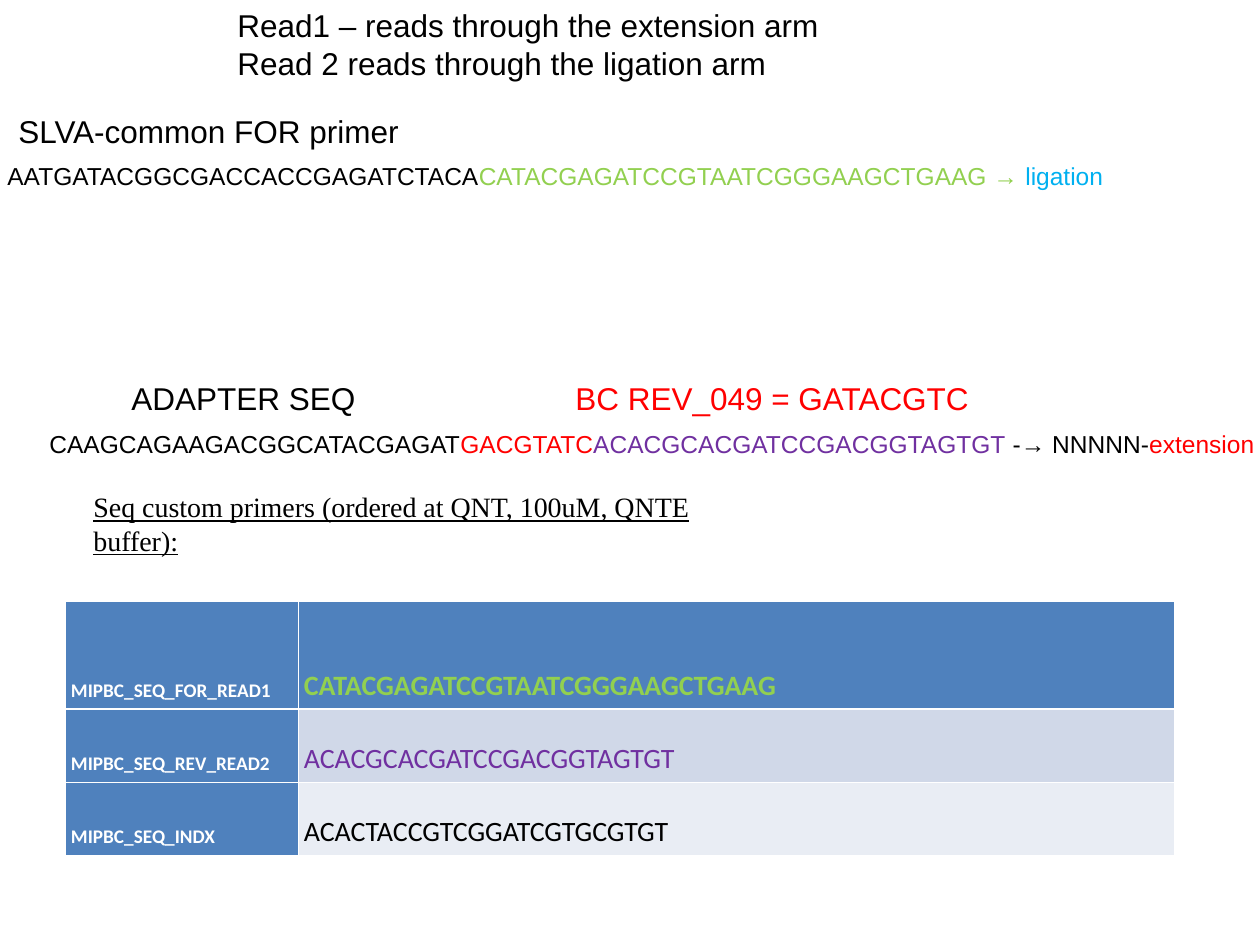
from lxml.etree import SubElement
from pptx import Presentation
from pptx.dml.color import RGBColor
from pptx.enum.text import MSO_ANCHOR as Anchor, MSO_AUTO_SIZE as AutoSize
from pptx.oxml.ns import qn
from pptx.util import Emu, Pt

SCALE = 914400 / 126  # EMU in one px
COLORS = {
    "black": "000000", "white": "FFFFFF", "red": "FF0000", "green": "92D050",
    "purple": "7030A0", "cyan": "00B0F0", "header": "4F81BD",
    "band_dark": "D0D8E8", "band_light": "E9EDF4",
}
HEADING = {"size": Pt(18), "name": "Arial"}
SEQUENCE = {"size": Pt(14), "name": "Arial"}
CAPTION = {"size": Pt(16), "name": "Times New Roman", "underline": True}
PRIMER_NAME = {"size": Pt(11), "name": "Calibri", "bold": True}
PRIMER_SEQ = {"size": Pt(16), "name": "Calibri"}
THIN, THICK = Pt(0.45), Pt(1.47)


def px(n):
    return Emu(round(n * SCALE))


def rgb(color):
    return RGBColor.from_string(COLORS[color])


def set_attrs(obj, values):
    for key, value in values.items():
        setattr(obj, key, value)


def add_runs(p, runs, font):
    """Add (text, colour) runs that share one font format."""
    for text, color in runs:
        r = p.add_run()
        r.text = text
        set_attrs(r.font, font)
        r.font.color.rgb = rgb(color)


def add_text(slide, box, lines, font, anchor=Anchor.TOP):
    """Add a text box; each line is a list of (text, colour) runs."""
    tf = slide.shapes.add_textbox(*map(px, box)).text_frame
    set_attrs(tf, {"word_wrap": False, "auto_size": AutoSize.SHAPE_TO_FIT_TEXT,
                   "vertical_anchor": anchor})
    for i, runs in enumerate(lines):
        p = tf.add_paragraph() if i else tf.paragraphs[0]
        add_runs(p, runs, font)


def add_reads_note(slide, box):
    add_text(slide, box, [
        [("Read1 – reads through the extension arm", "black")],
        [("Read 2 reads through the ligation arm", "black")],
    ], HEADING)


def add_forward_primer(slide, box):
    x, y, w, h = box
    add_text(slide, (x + 11, y, 410, 50),
             [[("SLVA-common FOR primer", "black")]], HEADING)
    add_text(slide, (x, y + 49, w, h - 49), [[
        ("AATGATACGGCGACCACCGAGATCTACA", "black"),
        ("CATACGAGATCCGTAATCGGGAAGCTGAAG → ", "green"),
        ("ligation", "cyan"),
    ]], SEQUENCE)


def add_reverse_primer(slide, box):
    x, y, w, h = box
    add_text(slide, (x + 82, y, 258, 50), [[("ADAPTER SEQ", "black")]], HEADING)
    add_text(slide, (x + 526, y, 423, 50),
             [[("BC REV_049 = GATACGTC", "red")]], HEADING)
    add_text(slide, (x, y + 50, w, h - 50), [[
        ("CAAGCAGAAGACGGCATACGAGAT", "black"),
        ("GACGTATC", "red"),
        ("ACACGCACGATCCGACGGTAGTGT", "purple"),
        (" -→ NNNNN-", "black"),
        ("extension", "red"),
    ]], SEQUENCE)


def set_borders(cell, top, bottom):
    tc_pr = cell._tc.get_or_add_tcPr()
    widths = {"a:lnL": THIN, "a:lnR": THIN, "a:lnT": top, "a:lnB": bottom}
    for tag, width in widths.items():
        ln = SubElement(tc_pr, qn(tag), w=str(int(width)))
        fill = SubElement(ln, qn("a:solidFill"))
        SubElement(fill, qn("a:srgbClr"), val=COLORS["white"])


def fill_cell(cell, text, color, fill, font):
    edges = ("margin_left", "margin_right", "margin_top", "margin_bottom")
    set_attrs(cell, dict.fromkeys(edges, px(6)))
    cell.vertical_anchor = Anchor.BOTTOM
    p = cell.text_frame.paragraphs[0]
    p.line_spacing = 1.15
    add_runs(p, [(text, color)], font)
    cell.fill.solid()
    cell.fill.fore_color.rgb = rgb(fill)


def add_primer_table(slide, box):
    rows = [
        ("MIPBC_SEQ_FOR_READ1", "CATACGAGATCCGTAATCGGGAAGCTGAAG", "green", "header"),
        ("MIPBC_SEQ_REV_READ2", "ACACGCACGATCCGACGGTAGTGT", "purple", "band_dark"),
        ("MIPBC_SEQ_INDX", "ACACTACCGTCGGATCGTGCGTGT", "black", "band_light"),
    ]
    name_w, body_h = 233, 73
    x, y, w, h = box
    table = slide.shapes.add_table(len(rows), 2, *map(px, box)).table
    table.columns[0].width, table.columns[1].width = px(name_w), px(w - name_w)
    for i, (name, seq, color, fill) in enumerate(rows):
        table.rows[i].height = px(body_h if i else h - 2 * body_h)
        name_cell, seq_cell = table.rows[i].cells
        for cell in (name_cell, seq_cell):
            set_borders(cell, THICK if i == 1 else THIN, THICK if i == 0 else THIN)
        fill_cell(name_cell, name, "white", "header", PRIMER_NAME)
        fill_cell(seq_cell, seq, color, fill, {**PRIMER_SEQ, "bold": i == 0})


def main():
    prs = Presentation()
    prs.slide_width, prs.slide_height = px(1260), px(945)
    slide = prs.slides.add_slide(prs.slide_layouts[6])
    add_primer_table(slide, (65, 601, 1109, 254))
    add_text(slide, (81, 500, 693, 47),
             [[("Seq custom primers (ordered at QNT, 100uM, QNTE buffer):", "black")]],
             CAPTION, Anchor.MIDDLE)
    add_reads_note(slide, (225, 0, 615, 88))
    add_reverse_primer(slide, (37, 373, 1242, 93))
    add_forward_primer(slide, (-5, 106, 1139, 92))
    prs.save("out.pptx")


if __name__ == "__main__":
    main()
